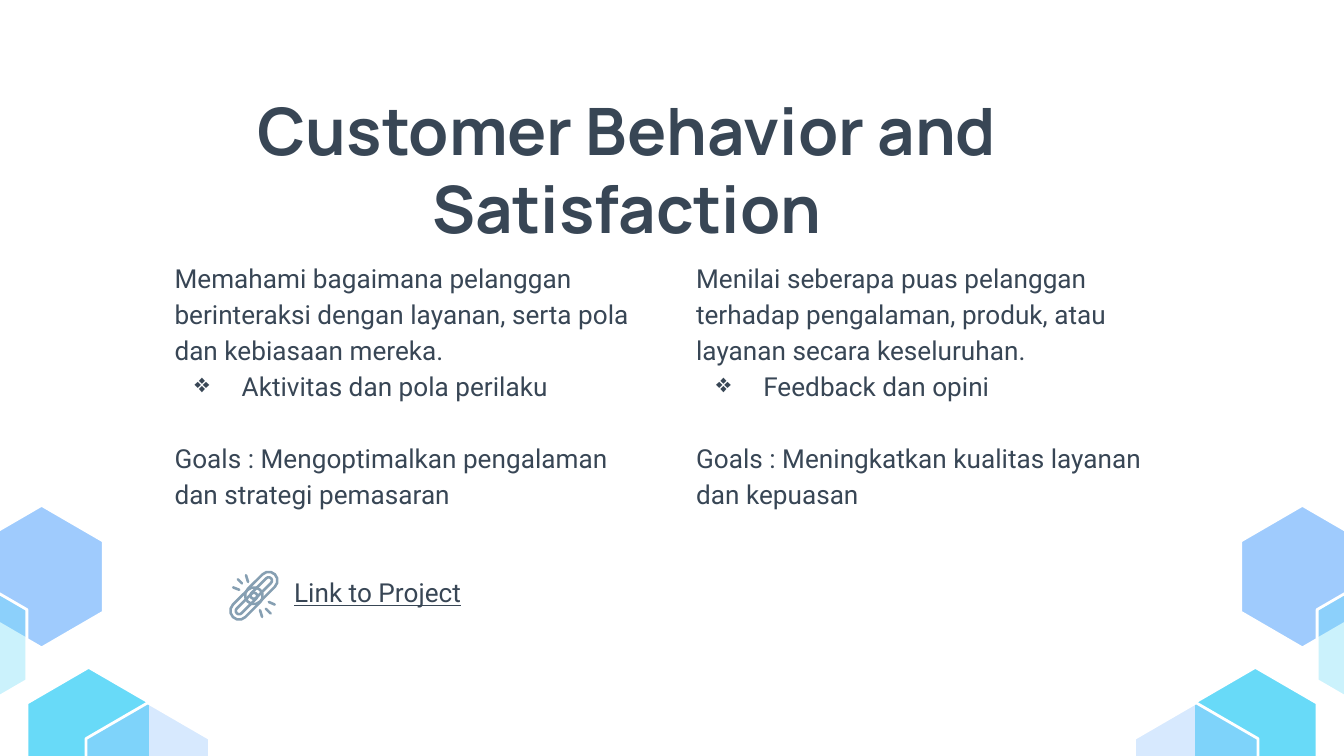
"""Build the Customer Behavior and Satisfaction slide."""
from lxml import etree
from pptx import Presentation
from pptx.dml.color import RGBColor
from pptx.enum.shapes import MSO_CONNECTOR, MSO_SHAPE
from pptx.enum.text import MSO_ANCHOR, MSO_AUTO_SIZE, PP_ALIGN
from pptx.oxml.ns import qn
from pptx.util import Pt

ROUNDED = MSO_SHAPE.ROUNDED_RECTANGLE
STRAIGHT = MSO_CONNECTOR.STRAIGHT
TOP = MSO_ANCHOR.TOP
CENTER = PP_ALIGN.CENTER
NO_AUTOFIT = MSO_AUTO_SIZE.NONE
SLIDE_WIDTH, SLIDE_HEIGHT = 720, 405
INK, ICON, WHITE = "384655", "869FB2", "FFFFFF"
BLUE, CYAN = "9FCBFD", "68DAF8"


def color(value):
    return RGBColor.from_string(value)


def style_text(paragraph, size, name):
    paragraph.font.size = Pt(size)
    paragraph.font.name = name
    paragraph.font.color.rgb = color(INK)


presentation = Presentation()
presentation.slide_width = Pt(SLIDE_WIDTH)
presentation.slide_height = Pt(SLIDE_HEIGHT)
slide = presentation.slides.add_slide(presentation.slide_layouts[5])
shapes = slide.shapes

hexagons = [
    (22.3, 308.9, BLUE, 100),
    (47.5, 395.7, CYAN, 100),
    (-18.7, 345.6, CYAN, 34),
    (79.2, 414.7, BLUE, 41),
]
outline = [(0, -38.2), (33.1, -19), (33.1, 19), (0, 38.2), (-33.1, 19), (-33.1, -19)]
for left_x, center_y, fill, opacity in hexagons:
    for center_x in (left_x, SLIDE_WIDTH - left_x):
        points = [(Pt(center_x + x), Pt(center_y + y)) for x, y in outline]
        builder = shapes.build_freeform(*points[0])
        builder.add_line_segments(points[1:], close=True)
        hexagon = builder.convert_to_shape()
        hexagon.shadow.inherit = False
        hexagon.fill.solid()
        hexagon.fill.fore_color.rgb = color(fill)
        hexagon.line.color.rgb = color(WHITE)
        hexagon.line.width = Pt(1.5)
        if opacity < 100:
            fill_color = hexagon._element.spPr.find(qn("a:solidFill"))[0]
            etree.SubElement(fill_color, qn("a:alpha"), val=str(opacity * 1000))

title = shapes.title
title.left, title.top, title.width, title.height = Pt(32.4), Pt(41), Pt(607), Pt(45.4)
title.text_frame.auto_size = NO_AUTOFIT
title.text_frame.vertical_anchor = TOP
title.text_frame.text = "Customer Behavior and Satisfaction"
heading = title.text_frame.paragraphs[0]
heading.alignment = CENTER
style_text(heading, 35, "Manrope")
heading.font.bold = True

text_boxes = [
    (86.4, 131, 267.8, 149.8, [
        "Memahami bagaimana pelanggan berinteraksi dengan layanan, serta pola dan kebiasaan mereka.",
        "Aktivitas dan pola perilaku",
        "Goals : Mengoptimalkan pengalaman dan strategi pemasaran",
    ]),
    (365.8, 131, 267.8, 149.8, [
        "Menilai seberapa puas pelanggan terhadap pengalaman, produk, atau layanan secara keseluruhan.",
        "Feedback dan opini",
        "Goals : Meningkatkan kualitas layanan dan kepuasan",
    ]),
    (150.5, 301.7, 114.5, 26.6, ["Link to Project"]),
]
frames = []
for left, top, width, height, texts in text_boxes:
    frame = shapes.add_textbox(Pt(left), Pt(top), Pt(width), Pt(height)).text_frame
    frame.word_wrap = True
    frame.text = "\n".join(texts)
    frames.append(frame)

for frame in [title.text_frame, *frames]:
    frame.margin_left = frame.margin_right = Pt(7.2)
    frame.margin_top = frame.margin_bottom = Pt(7.2)

for frame in frames[:2]:
    for paragraph in frame.paragraphs:
        paragraph.line_spacing = 1.15
    _, bullet, goals = frame.paragraphs
    goals.space_before = Pt(19)
    properties = bullet._p.get_or_add_pPr()
    properties.set("marL", str(Pt(36)))
    properties.set("indent", str(Pt(-25.2)))
    bullet_color = etree.SubElement(properties, qn("a:buClr"))
    etree.SubElement(bullet_color, qn("a:srgbClr"), val=INK)
    etree.SubElement(properties, qn("a:buChar"), char="❖")

for frame in frames:
    for paragraph in frame.paragraphs:
        style_text(paragraph, 14, "Roboto")
frames[2].paragraphs[0].font.underline = True

for center_x, center_y in [(140, 315), (132.1, 323.3)]:
    for width, height in [(20.6, 9.4), (14.8, 3.6)]:
        link = shapes.add_shape(ROUNDED, Pt(center_x - width / 2), Pt(center_y - height / 2),
                                Pt(width), Pt(height))
        link.adjustments[0] = 0.5
        link.rotation = -45
        link.shadow.inherit = False
        link.fill.background()
        link.line.color.rgb = color(ICON)
        link.line.width = Pt(1.4)

rays = [
    (142.4, 326.1, 145, 328.7), (144, 322.5, 147.2, 323.9), (139.3, 326.9, 140.4, 330.5),
    (127.4, 310.3, 129.7, 312.6), (131.8, 308.2, 132.9, 311.8), (124.9, 314.7, 128.2, 316),
]
for ray in rays:
    connector = shapes.add_connector(STRAIGHT, *[Pt(value) for value in ray])
    connector.line.color.rgb = color(ICON)
    connector.line.width = Pt(1.4)
    connector.line._get_or_add_ln().set("cap", "rnd")
    etree.SubElement(connector._element.spPr, qn("a:effectLst"))

presentation.save("out.pptx")
